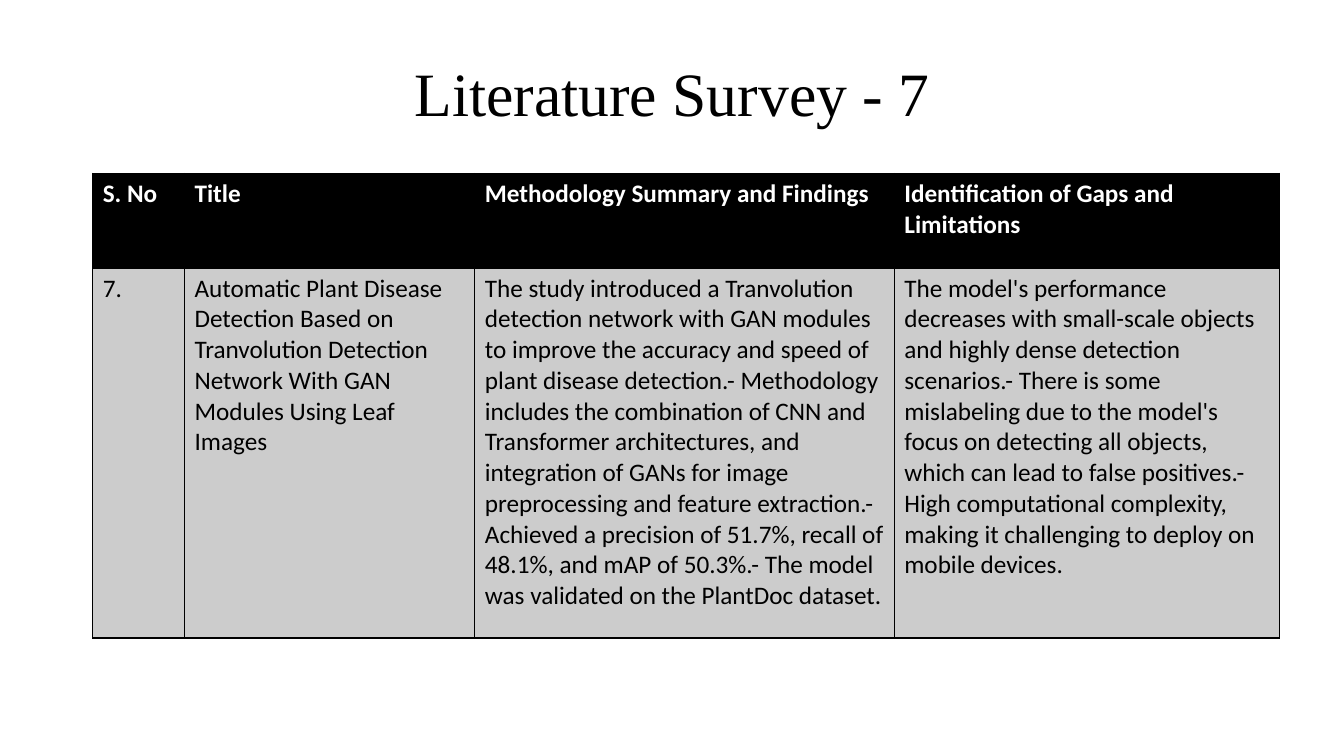
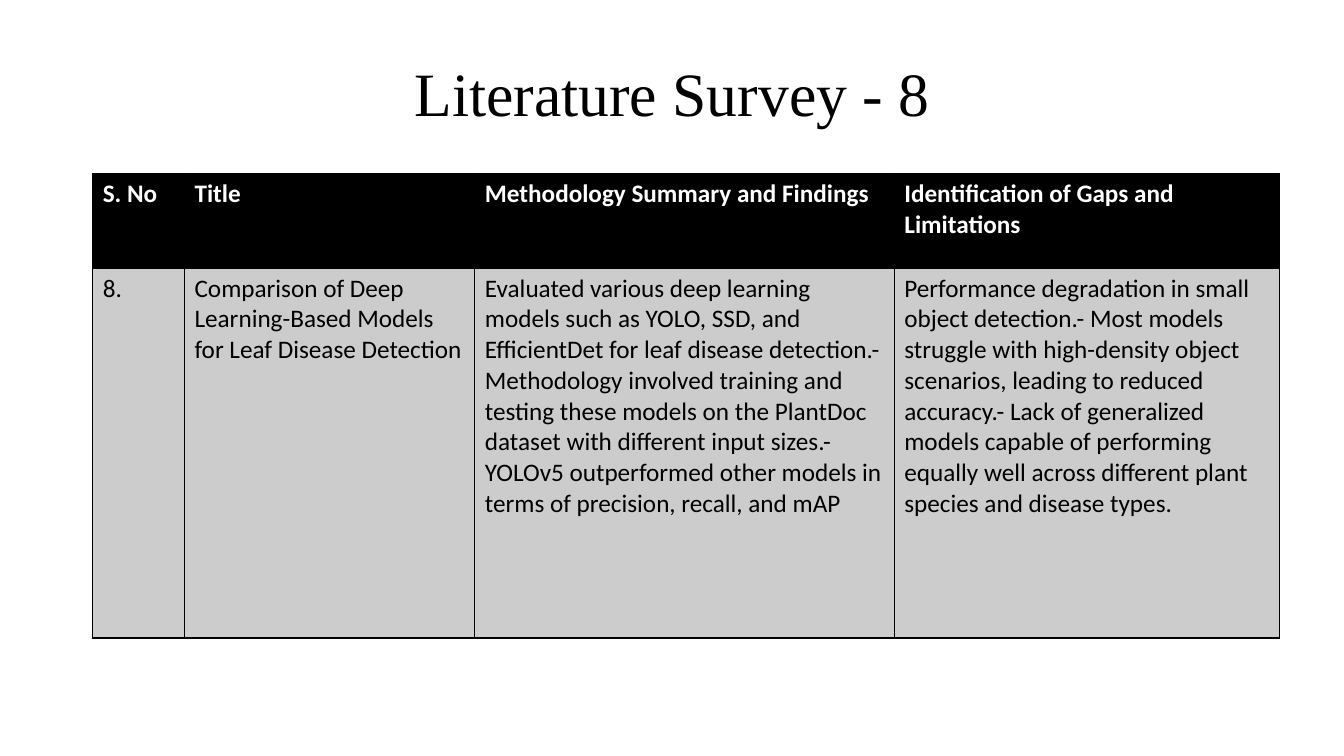
from lxml import etree
from pptx import Presentation
from pptx.dml.color import RGBColor
from pptx.enum.text import MSO_ANCHOR, MSO_AUTO_SIZE, PP_ALIGN
from pptx.oxml.ns import qn
from pptx.util import Inches, Pt

COLORS = {"ink": "000000", "header_text": "FFFFFF", "body_fill": "CCCCCC"}
TITLE_FONT = "Times New Roman"
TABLE_FONT = "Calibri"
TITLE_ONLY = 5

LEFT = 0.92
COLUMN_WIDTHS = [0.91, 2.88, 4.16, 3.82]
ROW_HEIGHTS = [0.94, 3.67]
HEADINGS = [
    "S. No",
    "Title",
    "Methodology Summary and Findings",
    "Identification of Gaps and Limitations",
]

# Survey number, paper title, findings, limitations
PAPERS = [
    (
        7,
        "Automatic Plant Disease Detection Based on Tranvolution Detection "
        "Network With GAN Modules Using Leaf Images",
        "The study introduced a Tranvolution detection network with GAN modules "
        "to improve the accuracy and speed of plant disease detection.- "
        "Methodology includes the combination of CNN and Transformer "
        "architectures, and integration of GANs for image preprocessing and "
        "feature extraction.- Achieved a precision of 51.7%, recall of 48.1%, "
        "and mAP of 50.3%.- The model was validated on the PlantDoc dataset.",
        "The model's performance decreases with small-scale objects and highly "
        "dense detection scenarios.- There is some mislabeling due to the "
        "model's focus on detecting all objects, which can lead to false "
        "positives.- High computational complexity, making it challenging to "
        "deploy on mobile devices.",
    ),
    (
        8,
        "Comparison of Deep Learning-Based Models for Leaf Disease Detection",
        "Evaluated various deep learning models such as YOLO, SSD, and "
        "EfficientDet for leaf disease detection.- Methodology involved training "
        "and testing these models on the PlantDoc dataset with different input "
        "sizes.- YOLOv5 outperformed other models in terms of precision, "
        "recall, and mAP",
        "Performance degradation in small object detection.- Most models "
        "struggle with high-density object scenarios, leading to reduced "
        "accuracy.- Lack of generalized models capable of performing equally "
        "well across different plant species and disease types.",
    ),
]


def rgb(name):
    return RGBColor.from_string(COLORS[name])


def style_font(font, name, size, color, bold=False):
    font.name = name
    font.size = Pt(size)
    font.color.rgb = rgb(color)
    font.bold = bold


def set_title(slide, text):
    title = slide.shapes.title
    title.left, title.top = Inches(LEFT), Inches(0.23)
    title.width, title.height = Inches(11.5), Inches(1.45)
    frame = title.text_frame
    frame.text = text
    frame.auto_size = MSO_AUTO_SIZE.NONE
    frame.vertical_anchor = MSO_ANCHOR.MIDDLE
    paragraph = frame.paragraphs[0]
    paragraph.alignment = PP_ALIGN.CENTER
    paragraph.line_spacing = 0.9
    style_font(paragraph.font, TITLE_FONT, 44, "ink")


def add_borders(cell):
    """Draw a 1 pt line on all four sides; the lines must precede the fill."""
    properties = cell._tc.get_or_add_tcPr()
    for position, side in enumerate(("lnL", "lnR", "lnT", "lnB")):
        line = etree.Element(qn(f"a:{side}"), w=str(Pt(1)))
        fill = etree.SubElement(line, qn("a:solidFill"))
        etree.SubElement(fill, qn("a:srgbClr"), val=COLORS["ink"])
        properties.insert(position, line)


def fill_cell(cell, text, is_header):
    cell.text = text
    cell.fill.solid()
    cell.fill.fore_color.rgb = rgb("ink" if is_header else "body_fill")
    text_color = "header_text" if is_header else "ink"
    style_font(cell.text_frame.paragraphs[0].font, TABLE_FONT, 18, text_color, is_header)
    add_borders(cell)


def add_survey_table(slide, rows):
    table = slide.shapes.add_table(
        len(rows), len(HEADINGS), Inches(LEFT), Inches(1.72),
        Inches(sum(COLUMN_WIDTHS)), Inches(sum(ROW_HEIGHTS)),
    ).table
    for column, width in zip(table.columns, COLUMN_WIDTHS):
        column.width = Inches(width)
    for row, height in zip(table.rows, ROW_HEIGHTS):
        row.height = Inches(height)
    for row_index, texts in enumerate(rows):
        for column_index, text in enumerate(texts):
            fill_cell(table.cell(row_index, column_index), text, row_index == 0)


def main():
    deck = Presentation()
    deck.slide_width, deck.slide_height = Inches(13.33), Inches(7.5)
    for number, *details in PAPERS:
        slide = deck.slides.add_slide(deck.slide_layouts[TITLE_ONLY])
        set_title(slide, f"Literature Survey - {number}")
        add_survey_table(slide, [HEADINGS, [f"{number}.", *details]])
    deck.save("out.pptx")


if __name__ == "__main__":
    main()
